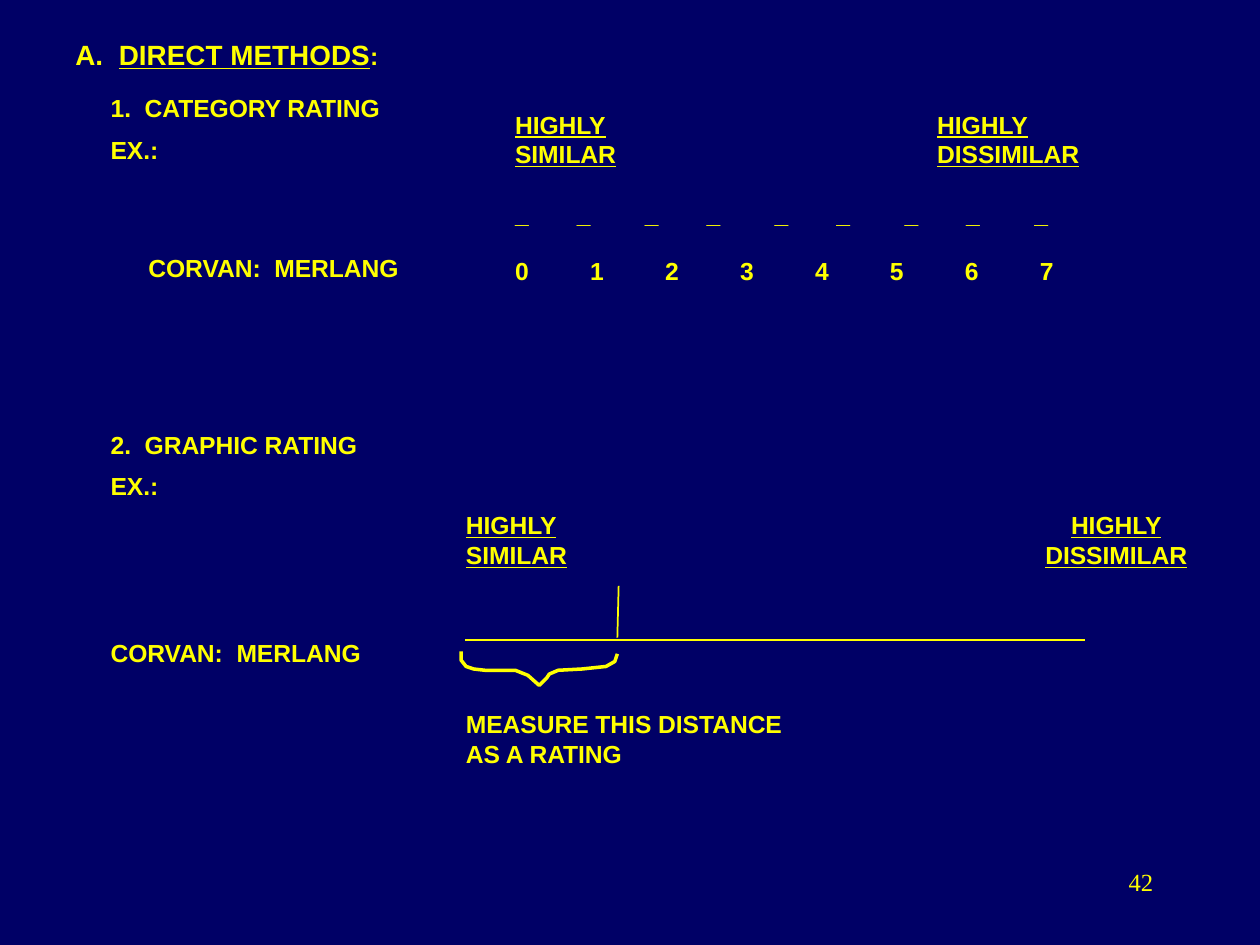
from dataclasses import dataclass

from lxml.etree import SubElement
from pptx import Presentation
from pptx.dml.color import RGBColor
from pptx.enum.shapes import MSO_CONNECTOR
from pptx.enum.text import PP_ALIGN
from pptx.oxml.ns import qn
from pptx.util import Inches, Pt


@dataclass(frozen=True)
class Theme:
    back: RGBColor = RGBColor(0, 0, 0x66)
    ink: RGBColor = RGBColor(0xFF, 0xFF, 0)
    sans: str = "Arial"
    serif: str = "Times New Roman"
    body: float = 14.1
    head: float = 15.9


THEME = Theme()
PAIR = "CORVAN:  MERLANG"
SIMILAR = "HIGHLY\nSIMILAR"
UNLIKE = "HIGHLY\nDISSIMILAR"


def style(run, size=THEME.body, face=THEME.sans, bold=True, under=False):
    font = run.font
    font.size, font.name = Pt(size), face
    font.bold, font.underline = bold, under
    font.color.rgb = THEME.ink


def add_text(slide, text, left, top, width, height=0.34,
             align=PP_ALIGN.LEFT, gap=0, **look):
    """Add a text box with one paragraph per line of text."""
    box = slide.shapes.add_textbox(
        Inches(left), Inches(top), Inches(width), Inches(height))
    frame = box.text_frame
    frame.word_wrap = True
    frame.text = text
    for i, para in enumerate(frame.paragraphs):
        para.alignment = align
        if i:
            para.space_before = Pt(gap)
        for run in para.runs:
            style(run, **look)
    return frame


def add_scale(slide, marks, stops, left, top, width):
    """Set marks in one line, each at its own tab stop."""
    frame = add_text(slide, "\t".join(marks), left, top, width)
    props = frame.paragraphs[0]._p.get_or_add_pPr()
    tabs = SubElement(props, qn("a:tabLst"))
    for stop in stops[1:]:
        SubElement(tabs, qn("a:tab"), pos=str(Inches(stop)), algn="l")


def add_line(slide, x1, y1, x2, y2):
    line = slide.shapes.add_connector(
        MSO_CONNECTOR.STRAIGHT, Inches(x1), Inches(y1), Inches(x2), Inches(y2))
    line.line.color.rgb = THEME.ink
    line.line.width = Pt(1)
    SubElement(line._element.spPr, qn("a:effectLst"))


def add_brace(slide, left, top):
    points = [(0, 0), (0, 0.07), (0.04, 0.12), (0.1, 0.14), (0.19, 0.15),
              (0.43, 0.15), (0.53, 0.19), (0.62, 0.27), (0.68, 0.21),
              (0.7, 0.18), (0.77, 0.15), (0.96, 0.14), (1.15, 0.12),
              (1.22, 0.08), (1.24, 0.02)]
    spots = [(Inches(left + x), Inches(top + y)) for x, y in points]
    pen = slide.shapes.build_freeform(*spots[0])
    pen.add_line_segments(spots[1:], close=False)
    brace = pen.convert_to_shape()
    brace.shadow.inherit = False
    brace.fill.background()
    brace.line.color.rgb = THEME.ink
    brace.line.width = Pt(2)


def add_title(slide, left, top, width):
    frame = add_text(slide, "A.  ", left, top, width, size=THEME.head)
    para = frame.paragraphs[0]
    for text, look in (("DIRECT METHODS", {"size": THEME.head, "under": True}),
                       (":", {})):
        run = para.add_run()
        run.text = text
        style(run, **look)


def add_category(slide, left, top, width):
    add_text(slide, "1.  CATEGORY RATING\nEX.:", left, top, 2.6, 0.67, gap=7)
    add_text(slide, PAIR, left + 0.3, top + 1.27, 2.5)
    start = left + 3.21
    span = left + width - start
    add_text(slide, SIMILAR, start, top + 0.13, 1.4, 0.58, under=True)
    add_text(slide, UNLIKE, start + 3.35, top + 0.13, 1.5, 0.58, under=True)
    blanks = [1.03 * (i // 2) + 0.49 * (i % 2) for i in range(9)]
    add_scale(slide, "_" * 9, blanks, start, top + 0.84, span)
    digits = [0.595 * i for i in range(8)]
    add_scale(slide, "01234567", digits, start, top + 1.29, span)


def add_graphic(slide, left, top, width):
    add_text(slide, "2.  GRAPHIC RATING\nEX.:", left, top, 2.6, 0.67, gap=7)
    add_text(slide, PAIR, left, top + 1.65, 2.5)
    start = left + 2.82
    add_text(slide, SIMILAR, start, top + 0.64, 1.4, 0.58, under=True)
    add_text(slide, UNLIKE, left + width - 1.5, top + 0.64, 1.5, 0.58,
             PP_ALIGN.CENTER, under=True)
    base = top + 1.72
    add_line(slide, start + 0.09, base, start + 5.01, base)
    add_line(slide, start + 1.31, base - 0.43, start + 1.3, base - 0.02)
    add_brace(slide, start + 0.06, base + 0.09)
    add_text(slide, "MEASURE THIS DISTANCE\nAS A RATING",
             start, top + 2.22, 2.9, 0.58)


def add_number(slide, left, top, width):
    add_text(slide, "42", left, top, width, 0.5, PP_ALIGN.RIGHT,
             face=THEME.serif, bold=False)


def main():
    deck = Presentation()
    deck.slide_width, deck.slide_height = Inches(10), Inches(7.5)
    slide = deck.slides.add_slide(deck.slide_layouts[6])
    fill = slide.background.fill
    fill.solid()
    fill.fore_color.rgb = THEME.back
    add_title(slide, 0.5, 0.25, 3)
    add_category(slide, 0.78, 0.69, 8.1)
    add_graphic(slide, 0.78, 3.36, 8.83)
    add_number(slide, 7.17, 6.83, 2.08)
    deck.save("out.pptx")


if __name__ == "__main__":
    main()
